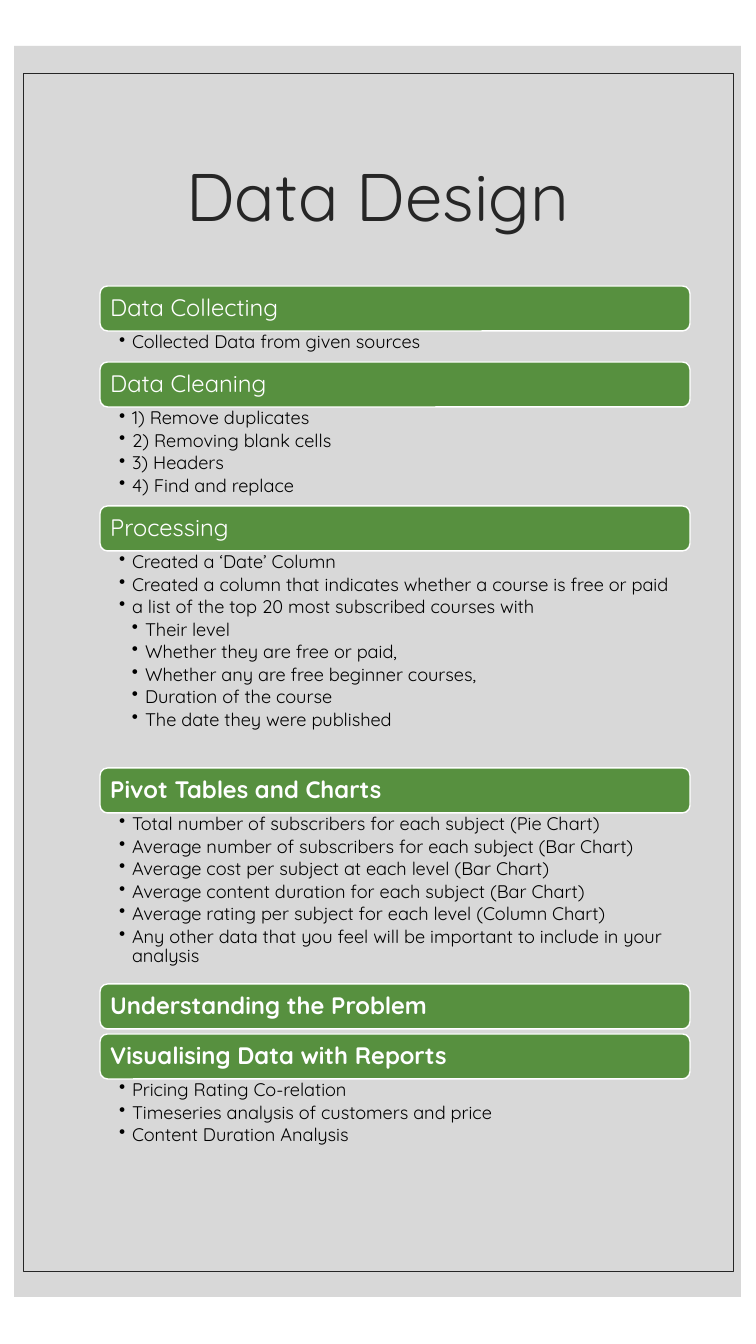
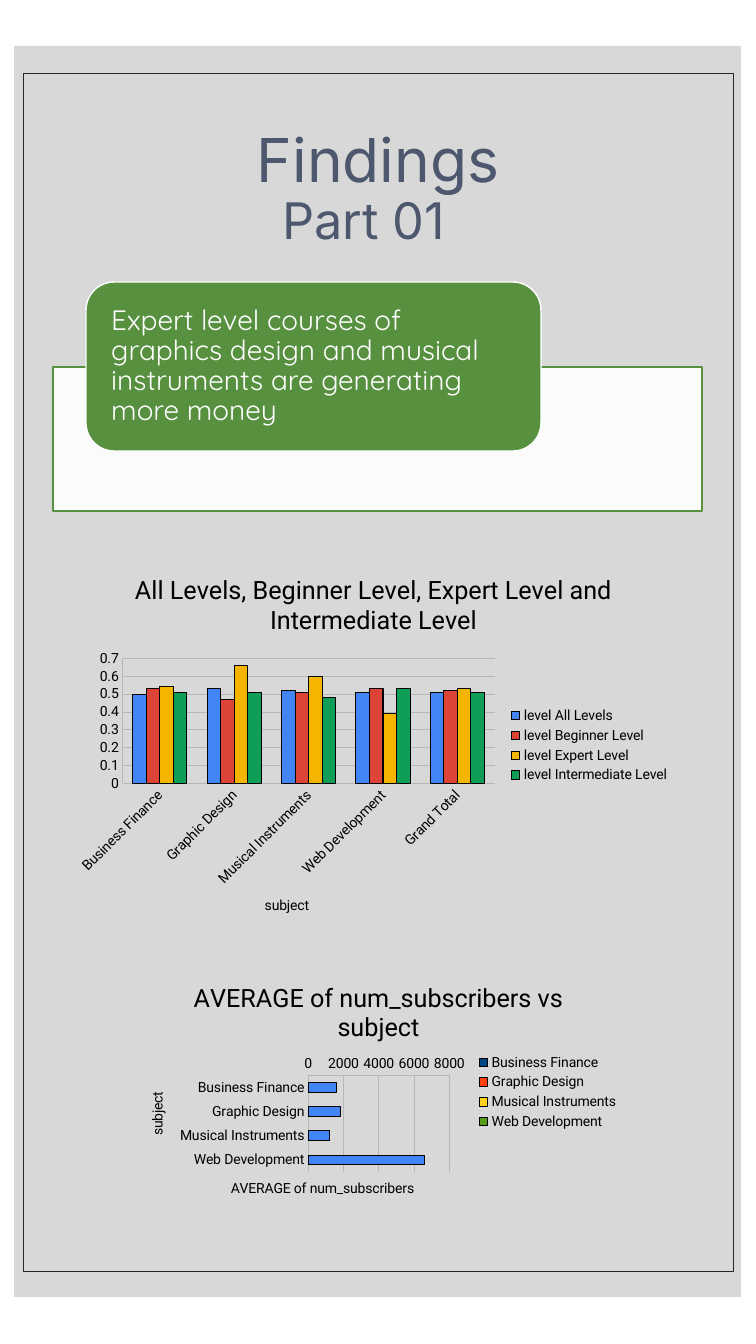
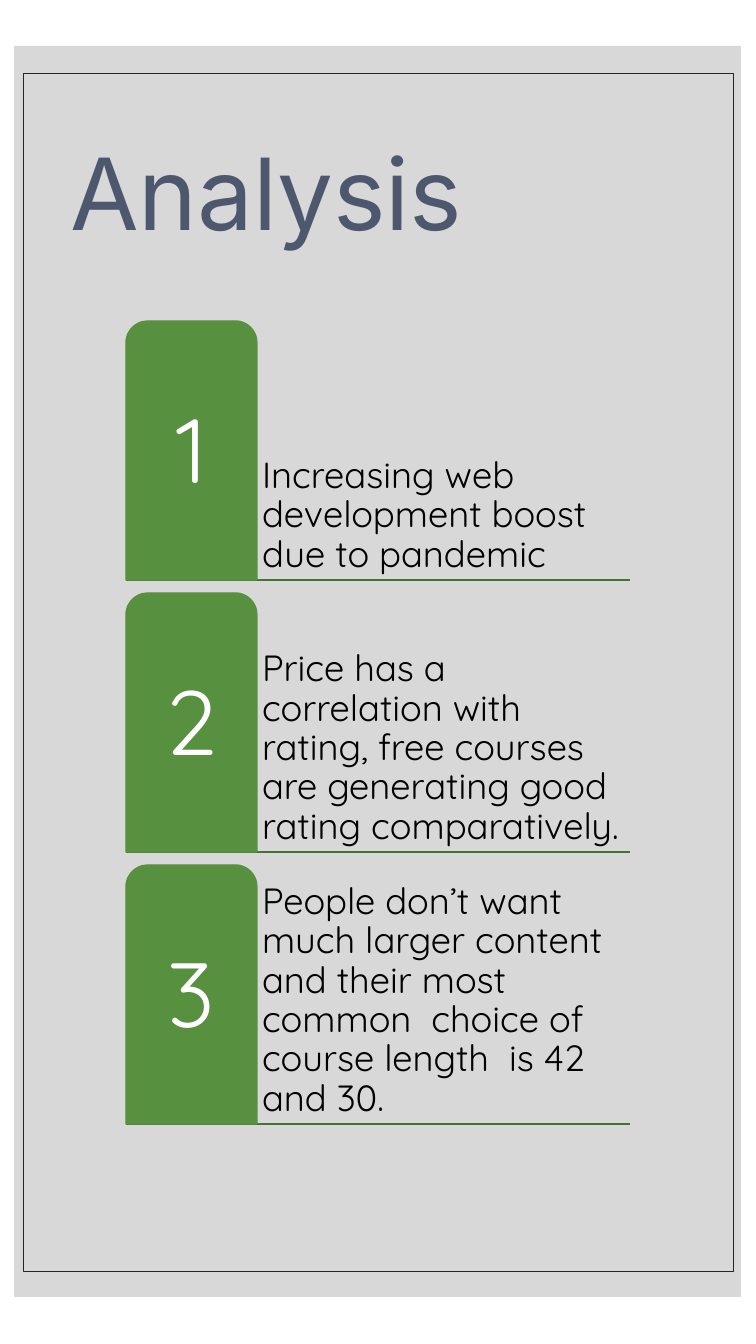
"""Build three portrait slides on the design, findings and analysis of course data."""
from dataclasses import dataclass
from typing import Optional, Sequence

from lxml.etree import SubElement
from pptx import Presentation
from pptx.chart.axis import _BaseAxis as Axis
from pptx.chart.data import CategoryChartData as ChartData
from pptx.dml.color import RGBColor
from pptx.enum.chart import XL_AXIS_CROSSES as Crosses
from pptx.enum.chart import XL_CHART_TYPE as ChartType
from pptx.enum.chart import XL_LEGEND_POSITION as LegendPosition
from pptx.enum.chart import XL_TICK_MARK as TickMark
from pptx.enum.shapes import MSO_CONNECTOR as ConnectorKind
from pptx.enum.shapes import MSO_SHAPE as ShapeKind
from pptx.enum.text import MSO_ANCHOR as Anchor
from pptx.enum.text import PP_ALIGN as Align
from pptx.oxml.ns import qn
from pptx.shapes.autoshape import Shape
from pptx.slide import Slide
from pptx.text.text import TextFrame
from pptx.util import Emu, Pt

EMU_PER_PIXEL = 914400 / 100.8
BULLET_INDENT = 13
COLORS = {
    "panel": "BFBFBF", "frame": "262626", "green": "57903F", "rule": "467332",
    "white": "FFFFFF", "black": "000000", "slate": "4D586F", "grid": "B7B7B7",
    "all": "4285F4", "beginner": "DB4437", "expert": "F4B400", "intermediate": "0F9D58",
}


@dataclass(frozen=True)
class Box:
    left: int
    top: int
    width: int
    height: int


@dataclass(frozen=True)
class Style:
    size: float
    color: str
    font: str = "Quicksand"
    bold: bool = False
    align: Align = Align.LEFT
    space_after: float = 0


@dataclass(frozen=True)
class Line:
    text: str
    size: Optional[float] = None
    level: int = 0


@dataclass(frozen=True)
class Section:
    heading: str
    body_height: int
    bullets: Sequence[Line] = ()
    bold: bool = False


@dataclass(frozen=True)
class Series:
    name: str
    values: Sequence[float]
    color: str


@dataclass(frozen=True)
class ChartSpec:
    box: Box
    kind: ChartType
    title: str
    categories: Sequence[str]
    series: Sequence[Series]
    maximum: float
    step: float
    value_title: str = ""


def px(pixels: float) -> Emu:
    """Turn pixels into EMU."""
    return Emu(round(pixels * EMU_PER_PIXEL))


def place(box: Box) -> tuple[Emu, Emu, Emu, Emu]:
    """Give the box as EMU lengths."""
    return px(box.left), px(box.top), px(box.width), px(box.height)


def rgb(name: str) -> RGBColor:
    """Look up a colour."""
    return RGBColor.from_string(COLORS[name])


def add_shape(slide: Slide, kind: ShapeKind, box: Box, fill: Optional[str],
              line: Optional[str], width: float = 1, opacity: int = 100) -> Shape:
    """Draw a flat preset shape."""
    shape = slide.shapes.add_shape(kind, *place(box))
    shape.shadow.inherit = False
    if fill:
        shape.fill.solid()
        shape.fill.fore_color.rgb = rgb(fill)
        if opacity < 100:
            color = shape.element.spPr.find(".//" + qn("a:srgbClr"))
            SubElement(color, qn("a:alpha")).set("val", str(opacity * 1000))
    else:
        shape.fill.background()
    if line:
        shape.line.color.rgb = rgb(line)
        shape.line.width = Pt(width)
    else:
        shape.line.fill.background()
    return shape


def write_run(paragraph, line: Line, style: Style) -> None:
    """Add one styled run."""
    run = paragraph.add_run()
    run.text = line.text
    run.font.name = style.font
    run.font.size = Pt(line.size or style.size)
    run.font.bold = style.bold
    run.font.color.rgb = rgb(style.color)


def set_bullet(paragraph, level: int) -> None:
    """Give the paragraph a hanging bullet."""
    properties = paragraph._p.get_or_add_pPr()
    properties.set("marL", str(px(BULLET_INDENT * level)))
    properties.set("indent", str(-px(BULLET_INDENT)))
    SubElement(properties, qn("a:buChar")).set("char", "•")


def write_frame(frame: TextFrame, lines: Sequence[Line], style: Style, anchor: Anchor,
                insets: tuple[int, int, int, int]) -> None:
    """Fill a text frame with one paragraph for each line."""
    frame.word_wrap = True
    frame.vertical_anchor = anchor
    (frame.margin_left, frame.margin_top,
     frame.margin_right, frame.margin_bottom) = map(px, insets)
    for index, line in enumerate(lines):
        paragraph = frame.add_paragraph() if index else frame.paragraphs[0]
        paragraph.alignment = style.align
        paragraph.line_spacing = 0.9
        paragraph.space_after = Pt(style.space_after)
        if line.level:
            set_bullet(paragraph, line.level)
        write_run(paragraph, line, style)


def add_text(slide: Slide, box: Box, lines: Sequence[Line], style: Style, anchor: Anchor,
             insets: tuple[int, int, int, int]) -> TextFrame:
    """Add a wrapping text box."""
    frame = slide.shapes.add_textbox(*place(box)).text_frame
    write_frame(frame, lines, style, anchor, insets)
    return frame


def add_slide(presentation: Presentation, title_box: Box, title: str, style: Style,
              subtitle: Optional[Line] = None) -> Slide:
    """Start a slide with the shared panel, frame and title."""
    slide = presentation.slides.add_slide(presentation.slide_layouts[6])
    add_shape(slide, ShapeKind.RECTANGLE, Box(14, 46, 727, 1251), "panel", None, opacity=60)
    add_shape(slide, ShapeKind.RECTANGLE, Box(23, 73, 710, 1198), None, "frame", 0.5)
    frame = add_text(slide, title_box, [Line(title)], style, Anchor.MIDDLE, (10, 5, 10, 5))
    if subtitle:
        paragraph = frame.paragraphs[0]
        paragraph.add_line_break()
        write_run(paragraph, subtitle, style)
    return slide


def add_sections(slide: Slide, sections: Sequence[Section]) -> None:
    """Stack green headings, each over its bullets."""
    top, heading_height = 286, 45
    for section in sections:
        heading = add_shape(slide, ShapeKind.ROUNDED_RECTANGLE,
                            Box(100, top, 590, heading_height), "green", "white")
        write_frame(heading.text_frame, [Line(section.heading)],
                    Style(17, "white", bold=section.bold), Anchor.MIDDLE, (8, 7, 7, 7))
        top += heading_height
        if section.bullets:
            add_text(slide, Box(100, top, 590, section.body_height), section.bullets,
                     Style(13, "black", space_after=2), Anchor.TOP, (19, 2, 13, 2))
        top += section.body_height


def style_axis(axis: Axis, title: str) -> None:
    """Set the look and title of an axis."""
    axis.major_tick_mark = axis.minor_tick_mark = TickMark.NONE
    axis.format.line.color.rgb = rgb("grid")
    axis.has_title = bool(title)
    if title:
        write_run(axis.axis_title.text_frame.paragraphs[0], Line(title),
                  Style(10, "black", "Roboto"))


def add_chart(slide: Slide, spec: ChartSpec) -> None:
    """Draw a clustered chart with its title and legend."""
    data = ChartData()
    data.categories = spec.categories
    for series in spec.series:
        data.add_series(series.name, series.values)
    chart = slide.shapes.add_chart(spec.kind, *place(spec.box), data).chart
    chart.font.name = "Roboto"
    chart.font.size = Pt(10)
    chart.font.color.rgb = rgb("black")
    chart.has_title = True
    write_run(chart.chart_title.text_frame.paragraphs[0], Line(spec.title),
              Style(18, "black", "Roboto"))
    chart.has_legend = True
    chart.legend.position = LegendPosition.RIGHT
    chart.legend.include_in_layout = False

    plot = chart.plots[0]
    plot.gap_width = 150
    plot.vary_by_categories = len(spec.series) == 1
    for drawn, series in zip(plot.series, spec.series):
        drawn.format.fill.solid()
        drawn.format.fill.fore_color.rgb = rgb(series.color)
        drawn.format.line.color.rgb = rgb("black")
        drawn.format.line.width = Pt(0.75)

    categories, values = chart.category_axis, chart.value_axis
    style_axis(categories, "subject")
    style_axis(values, spec.value_title)
    values.minimum_scale, values.maximum_scale = 0, spec.maximum
    values.major_unit = spec.step
    values.major_gridlines.format.line.color.rgb = rgb("grid")
    values.major_gridlines.format.line.width = Pt(0.75)
    if spec.kind == ChartType.BAR_CLUSTERED:
        categories.reverse_order = True
        categories.crosses = Crosses.MAXIMUM
    else:
        categories._element.get_or_add_txPr().bodyPr.set("rot", "-2700000")


def add_rule(slide: Slide, left: int, right: int, y: int) -> None:
    """Draw a thin horizontal rule."""
    rule = slide.shapes.add_connector(ConnectorKind.STRAIGHT, px(left), px(y), px(right), px(y))
    rule.line.color.rgb = rgb("rule")
    rule.line.width = Pt(1)
    SubElement(rule.element.spPr, qn("a:effectLst"))


def add_points(slide: Slide, points: Sequence[str]) -> None:
    """Stack numbered tabs, each with its text and rule."""
    left, tab_width, text_width, height, pitch = 126, 131, 373, 259, 272
    for index, point in enumerate(points):
        top = 321 + index * pitch
        add_rule(slide, left, left + tab_width + text_width, top + height)
        add_text(slide, Box(left + tab_width, top, text_width, height), [Line(point)],
                 Style(26, "black"), Anchor.BOTTOM, (5, 5, 5, 5))
        tab = add_shape(slide, ShapeKind.ROUND_2_SAME_RECTANGLE,
                        Box(left, top, tab_width, height), "green", "green")
        write_frame(tab.text_frame, [Line(str(index + 1))],
                    Style(65, "white", align=Align.CENTER), Anchor.MIDDLE, (14, 14, 14, 14))


def bullets(*texts: str, level: int = 1) -> list[Line]:
    """Make bullet lines of one level."""
    return [Line(text, level=level) for text in texts]


SECTIONS = [
    Section("Data Collecting", 31, bullets("Collected Data from given sources")),
    Section("Data Cleaning", 99, bullets(
        "1) Remove duplicates", "2) Removing blank cells", "3) Headers", "4) Find and replace")),
    Section("Processing", 217, bullets(
        "Created a ‘Date’ Column",
        "Created a column that indicates whether a course is free or paid",
        "a list of the top 20 most subscribed courses with",
    ) + bullets(
        "Their level", "Whether they are free or paid,",
        "Whether any are free beginner courses,", "Duration of the course",
        "The date they were published", level=2)),
    Section("Pivot Tables and Charts", 171, bullets(
        "Total number of subscribers for each subject (Pie Chart)",
        "Average number of subscribers for each subject (Bar Chart)",
        "Average cost per subject at each level (Bar Chart)",
        "Average content duration for each subject (Bar Chart)",
        "Average rating per subject for each level (Column Chart)",
        "Any other data that you feel will be important to include in your analysis"), True),
    Section("Understanding the Problem", 5, bold=True),
    Section("Visualising Data with Reports", 76, bullets(
        "Pricing Rating Co-relation", "Timeseries analysis of customers and price",
        "Content Duration Analysis"), True),
]
SUBJECTS = ["Business Finance", "Graphic Design", "Musical Instruments", "Web Development"]
CHARTS = [
    ChartSpec(
        Box(67, 556, 613, 379), ChartType.COLUMN_CLUSTERED,
        "All Levels, Beginner Level, Expert Level and Intermediate Level",
        SUBJECTS + ["Grand Total"],
        [Series("level All Levels", (0.5, 0.53, 0.52, 0.51, 0.51), "all"),
         Series("level Beginner Level", (0.53, 0.47, 0.51, 0.53, 0.52), "beginner"),
         Series("level Expert Level", (0.54, 0.66, 0.6, 0.39, 0.53), "expert"),
         Series("level Intermediate Level", (0.51, 0.51, 0.48, 0.53, 0.51), "intermediate")],
        0.7, 0.1),
    ChartSpec(
        Box(128, 966, 501, 252), ChartType.BAR_CLUSTERED,
        "AVERAGE of num_subscribers vs subject", SUBJECTS,
        [Series("AVERAGE of num_subscribers", (1600, 1800, 1200, 6600), "all")],
        8000, 2000, "AVERAGE of num_subscribers"),
]
POINTS = [
    "Increasing web development boost due to pandemic",
    "Price has a correlation with rating, free courses are generating good rating comparatively.",
    "People don’t want much larger content and their most common  choice of course length  "
    "is 42 and 30.",
]


def main() -> None:
    """Build and save the presentation."""
    presentation = Presentation()
    presentation.slide_width, presentation.slide_height = px(756), px(1344)

    design = add_slide(presentation, Box(66, 126, 624, 147), "Data Design",
                       Style(48, "frame", align=Align.CENTER))
    add_sections(design, SECTIONS)

    findings = add_slide(presentation, Box(66, 126, 624, 129), "Findings",
                         Style(43.2, "slate", "Inter", align=Align.CENTER),
                         Line("Part 01  ", 36))
    add_shape(findings, ShapeKind.RECTANGLE, Box(53, 367, 649, 144), "white", "green",
              opacity=90)
    card = add_shape(findings, ShapeKind.ROUNDED_RECTANGLE, Box(86, 282, 455, 169),
                     "green", "white")
    write_frame(card.text_frame,
                [Line("Expert level courses of graphics design and musical instruments "
                      "are generating more money")],
                Style(20, "white"), Anchor.MIDDLE, (17, 0, 17, 0))
    for spec in CHARTS:
        add_chart(findings, spec)

    analysis = add_slide(presentation, Box(60, 126, 630, 145), "Analysis",
                         Style(71.1, "slate", "Inter"))
    add_points(analysis, POINTS)
    presentation.save("out.pptx")


main()
